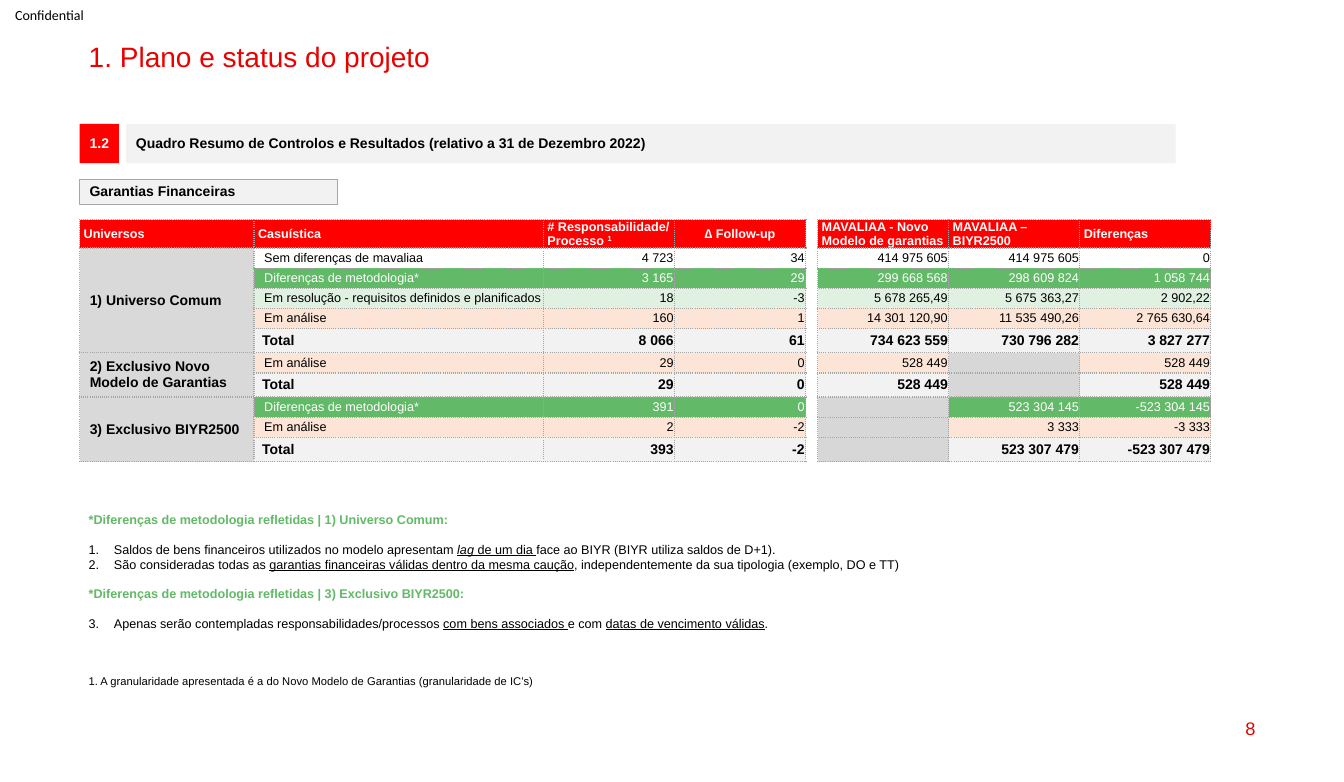
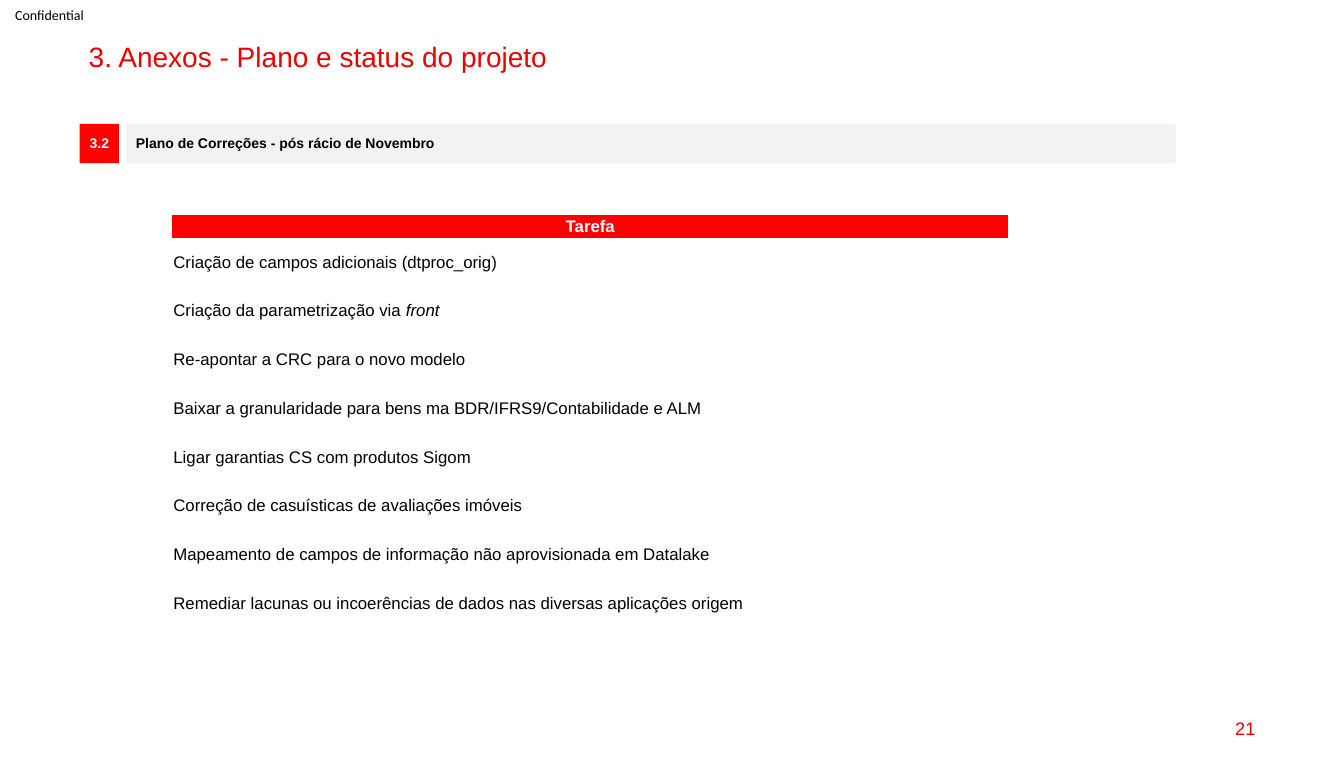
from lxml import etree
from pptx import Presentation
from pptx.dml.color import RGBColor
from pptx.enum.shapes import MSO_SHAPE
from pptx.enum.text import MSO_ANCHOR, MSO_AUTO_SIZE, PP_ALIGN
from pptx.oxml.ns import qn
from pptx.util import Inches, Pt

RECT = MSO_SHAPE.RECTANGLE
LEFT, CENTER, RIGHT = PP_ALIGN.LEFT, PP_ALIGN.CENTER, PP_ALIGN.RIGHT
TOP, MIDDLE = MSO_ANCHOR.TOP, MSO_ANCHOR.MIDDLE
LAYOUT_CONTENT, LAYOUT_TITLE_ONLY = 1, 5
NO_STYLE = "{2D5ABB26-0587-4C30-8999-92F81FD0307C}"

COLORS = {
    "title": "EB0000", "red": "FF0000", "black": "000000", "white": "FFFFFF",
    "band": "F2F2F2", "line": "A6A6A6", "dark_line": "808080",
    "universe": "D9D9D9", "blocked": "D7D7D7",
    "green": "62B967", "pale_green": "E0F1E1", "peach": "FCE4D6",
}

# kind of row: label, fill, text colour
ROW_KINDS = {
    "same": ("Sem diferenças de mavaliaa", None, "black"),
    "method": ("Diferenças de metodologia*", "green", "white"),
    "solving": ("Em resolução - requisitos definidos e planificados", "pale_green", "black"),
    "analysis": ("Em análise", "peach", "black"),
    "total": ("Total", "band", "black"),
}
HEADERS = [
    ["Universos"], ["Casuística"],
    ["# Responsabilidade/", [("Processo ", ""), ("1", "^")]],
    ["∆ Follow-up"], None, ["MAVALIAA - Novo Modelo de garantias"],
    ["MAVALIAA – BIYR2500"], ["Diferenças"],
]
GAP_COL, FOLLOW_UP_COL = 4, 3
SUMMARY_COLS = [1.73, 2.87, 1.3, 1.3, 0.12, 1.3, 1.3, 1.3]
UNIVERSES = [
    ("1) Universo Comum", [
        ("same", "4 723", "34", "414 975 605", "414 975 605", "0"),
        ("method", "3 165", "29", "299 668 568", "298 609 824", "1 058 744"),
        ("solving", "18", "-3", "5 678 265,49", "5 675 363,27", "2 902,22"),
        ("analysis", "160", "1", "14 301 120,90", "11 535 490,26", "2 765 630,64"),
        ("total", "8 066", "61", "734 623 559", "730 796 282", "3 827 277"),
    ]),
    ("2) Exclusivo Novo Modelo de Garantias", [
        ("analysis", "29", "0", "528 449", None, "528 449"),
        ("total", "29", "0", "528 449", None, "528 449"),
    ]),
    ("3) Exclusivo BIYR2500", [
        ("method", "391", "0", None, "523 304 145", "-523 304 145"),
        ("analysis", "2", "-2", None, "3 333", "-3 333"),
        ("total", "393", "-2", None, "523 307 479", "-523 307 479"),
    ]),
]
# number of the item (None for a heading), space before in points, text
NOTES = [
    (None, 0, "*Diferenças de metodologia refletidas | 1) Universo Comum:"),
    (1, 10.3, [("Saldos de bens financeiros utilizados no modelo apresentam ", ""),
               ("lag", "iu"), (" de um dia ", "u"),
               ("face ao BIYR (BIYR utiliza saldos de D+1).", "")]),
    (2, 0, [("São consideradas todas as ", ""),
            ("garantias financeiras válidas dentro da mesma caução", "u"),
            (", independentemente da sua tipologia (exemplo, DO e TT)", "")]),
    (None, 10.3, "*Diferenças de metodologia refletidas | 3) Exclusivo BIYR2500:"),
    (3, 10.3, [("Apenas serão contempladas responsabilidades/processos ", ""),
               ("com bens associados ", "u"), ("e com ", ""),
               ("datas de vencimento válidas", "u"), (".", "")]),
]
TASKS = [
    "Criação de campos adicionais (dtproc_orig)",
    [("Criação da parametrização via ", ""), ("front", "i")],
    "Re-apontar a CRC para o novo modelo",
    "Baixar a granularidade para bens ma BDR/IFRS9/Contabilidade e ALM",
    "Ligar garantias CS com produtos Sigom",
    "Correção de casuísticas de avaliações imóveis",
    "Mapeamento de campos de informação não aprovisionada em Datalake",
    "Remediar lacunas ou incoerências de dados nas diversas aplicações origem",
]


def rgb(name):
    return RGBColor.from_string(COLORS[name])


def add_runs(p, text, size, color="black", bold=False, font="Arial"):
    """Text is a string or (string, flags) pairs; flags: i italic, u underline, ^ superscript."""
    for part, flags in [(text, "")] if isinstance(text, str) else text:
        r = p.add_run()
        r.text = part
        r.font.name, r.font.size, r.font.bold = font, Pt(size), bold
        r.font.color.rgb = rgb(color)
        if "i" in flags:
            r.font.italic = True
        if "u" in flags:
            r.font.underline = True
        if "^" in flags:
            r._r.get_or_add_rPr().set("baseline", "30000")


def setup_frame(tf, anchor=MIDDLE, margins=(0.1, 0.05, 0.1, 0.05), wrap=True):
    tf.word_wrap = wrap
    tf.auto_size = MSO_AUTO_SIZE.NONE
    tf.vertical_anchor = anchor
    tf.margin_left, tf.margin_top, tf.margin_right, tf.margin_bottom = map(Inches, margins)


def place(shape, x, y, w, h):
    shape.left, shape.top, shape.width, shape.height = map(Inches, (x, y, w, h))


def add_label(s, box, text, size, color="black", align=LEFT, font="Arial", **frame):
    sp = s.shapes.add_textbox(*map(Inches, box))
    setup_frame(sp.text_frame, **frame)
    p = sp.text_frame.paragraphs[0]
    p.alignment = align
    add_runs(p, text, size, color, font=font)


def add_box(s, box, text, fill, color="black", align=LEFT, line=None, **frame):
    sp = s.shapes.add_shape(RECT, *map(Inches, box))
    sp.shadow.inherit = False
    sp.fill.solid()
    sp.fill.fore_color.rgb = rgb(fill)
    if line:
        sp.line.color.rgb = rgb(line)
        sp.line.width = Pt(0.75)
    else:
        sp.line.fill.background()
    setup_frame(sp.text_frame, **frame)
    p = sp.text_frame.paragraphs[0]
    p.alignment, p.line_spacing = align, 0.9
    add_runs(p, text, 10, color, bold=True)


def add_page(prs, layout, title, section, heading, number):
    s = prs.slides.add_slide(prs.slide_layouts[layout])
    place(s.shapes.title, 0.78, 0.38, 11.77, 0.34)
    tf = s.shapes.title.text_frame
    setup_frame(tf, TOP)
    p = tf.paragraphs[0]
    p.alignment, p.line_spacing = LEFT, 0.9
    add_runs(p, title, 20, "title")
    add_label(s, (0, 0, 0.99, 0.29), "Confidential", 10, font="Calibri",
              margins=(0.15, 0, 0, 0), wrap=False)
    add_label(s, (9.55, 7.02, 3, 0.41), number, 13, "title", RIGHT)
    add_box(s, (0.79, 1.23, 0.39, 0.39), section, "red", "white", CENTER, margins=(0, 0, 0, 0))
    add_box(s, (1.25, 1.23, 10.41, 0.39), heading, "band")
    return s


def add_plain_table(s, x, y, cols, rows):
    """Add a table without a style, sized by its column widths and row heights."""
    frame = s.shapes.add_table(len(rows), len(cols), *map(Inches, (x, y, sum(cols), sum(rows))))
    table = frame.table
    table.first_row = table.horz_banding = False
    table._tbl.tblPr.find(qn("a:tableStyleId")).text = NO_STYLE
    for column, width in zip(table.columns, cols):
        column.width = Inches(width)
    for row, height in zip(table.rows, rows):
        row.height = Inches(height)
    return table


def set_borders(cell, sides="LRTB", color="line"):
    tcPr = cell._tc.get_or_add_tcPr()
    for side in sides:
        ln = etree.SubElement(tcPr, qn(f"a:ln{side}"), w=str(Pt(1)))
        fill = etree.SubElement(ln, qn("a:solidFill"))
        etree.SubElement(fill, qn("a:srgbClr"), val=COLORS[color])
        etree.SubElement(ln, qn("a:prstDash"), val="sysDot")


def fill_cell(cell, lines=(), size=9, color="black", fill=None, bold=False, align=LEFT,
              left=0.01, right=0.01):
    cell.vertical_anchor = MIDDLE
    cell.margin_left, cell.margin_right = Inches(left), Inches(right)
    cell.margin_top = cell.margin_bottom = 0
    if fill:
        cell.fill.solid()
        cell.fill.fore_color.rgb = rgb(fill)
    else:
        cell.fill.background()
    tf = cell.text_frame
    for i, text in enumerate(lines):
        p = tf.add_paragraph() if i else tf.paragraphs[0]
        p.alignment = align
        add_runs(p, text, size, color, bold)
    if not lines:
        etree.SubElement(tf.paragraphs[0]._p, qn("a:endParaRPr"), sz=str(size * 100))


def add_summary_table(s):
    entries = [entry for _, group in UNIVERSES for entry in group]
    heights = [0.28] + [0.24 if entry[0] == "total" else 0.2 for entry in entries]
    table = add_plain_table(s, 0.79, 2.18, SUMMARY_COLS, heights)
    for r in range(len(heights)):
        for c in range(len(SUMMARY_COLS)):
            set_borders(table.cell(r, c), "LR" if c == GAP_COL else "LRTB")
        fill_cell(table.cell(r, GAP_COL))

    for c, lines in enumerate(HEADERS):
        if lines:
            fill_cell(table.cell(0, c), lines, 9, "white", "red", True,
                      CENTER if c == FOLLOW_UP_COL else LEFT, 0.04, 0.04)

    for r, (kind, *values) in enumerate(entries, 1):
        label, fill, color = ROW_KINDS[kind]
        total = kind == "total"
        look = dict(size=10 if total else 9, color=color, fill=fill, bold=total)
        fill_cell(table.cell(r, 1), [label], left=0.08 if total else 0.1, **look)
        value_cols = [c for c in range(2, len(SUMMARY_COLS)) if c != GAP_COL]
        for c, value in zip(value_cols, values):
            if value is None:
                fill_cell(table.cell(r, c), fill="blocked")
            else:
                fill_cell(table.cell(r, c), [value], align=RIGHT, **look)

    first = 1
    for name, group in UNIVERSES:
        last = first + len(group) - 1
        cell = table.cell(first, 0)
        cell.merge(table.cell(last, 0))
        fill_cell(cell, [name], 10, fill="universe", bold=True, left=0.1, right=0.05)
        first = last + 1


def add_notes_list(s):
    body = s.placeholders[1]
    place(body, 0.78, 5.03, 10.55, 1.5)
    tf = body.text_frame
    setup_frame(tf, TOP)
    for i, (number, space, text) in enumerate(NOTES):
        p = tf.add_paragraph() if i else tf.paragraphs[0]
        p.space_before = Pt(space)
        pPr = p._p.get_or_add_pPr()
        indent = Inches(0.25) if number else 0
        pPr.set("marL", str(indent))
        pPr.set("indent", str(-indent))
        if number:
            etree.SubElement(pPr, qn("a:buFont"), typeface="+mj-lt")
            first = 3 if number == 3 else 1
            etree.SubElement(pPr, qn("a:buAutoNum"), type="arabicPeriod", startAt=str(first))
            add_runs(p, text, 9)
        else:
            etree.SubElement(pPr, qn("a:buNone"))
            add_runs(p, text, 9, "green", True)


def add_task_table(s):
    table = add_plain_table(s, 1.71, 2.13, [8.29], [0.23] + [0.484] * len(TASKS))
    fill_cell(table.cell(0, 0), ["Tarefa"], 12, "white", "red", True, CENTER)
    for r, task in enumerate(TASKS, 1):
        fill_cell(table.cell(r, 0), [task], 12)


def main():
    prs = Presentation()
    prs.slide_width, prs.slide_height = Inches(13.33), Inches(7.76)

    s = add_page(prs, LAYOUT_CONTENT, "1. Plano e status do projeto", "1.2",
                 "Quadro Resumo de Controlos e Resultados (relativo a 31 de Dezembro 2022)", "8")
    add_box(s, (0.79, 1.78, 2.56, 0.25), "Garantias Financeiras", "band", line="line")
    add_summary_table(s)
    add_notes_list(s)
    add_label(s, (0.78, 6.64, 4.75, 0.24),
              "1. A granularidade apresentada é a do Novo Modelo de Garantias "
              "(granularidade de IC’s)", 8, anchor=TOP, wrap=False)

    s = add_page(prs, LAYOUT_TITLE_ONLY, "3. Anexos - Plano e status do projeto", "3.2",
                 "Plano de Correções - pós rácio de Novembro", "21")
    add_task_table(s)

    prs.save("out.pptx")


if __name__ == "__main__":
    main()
